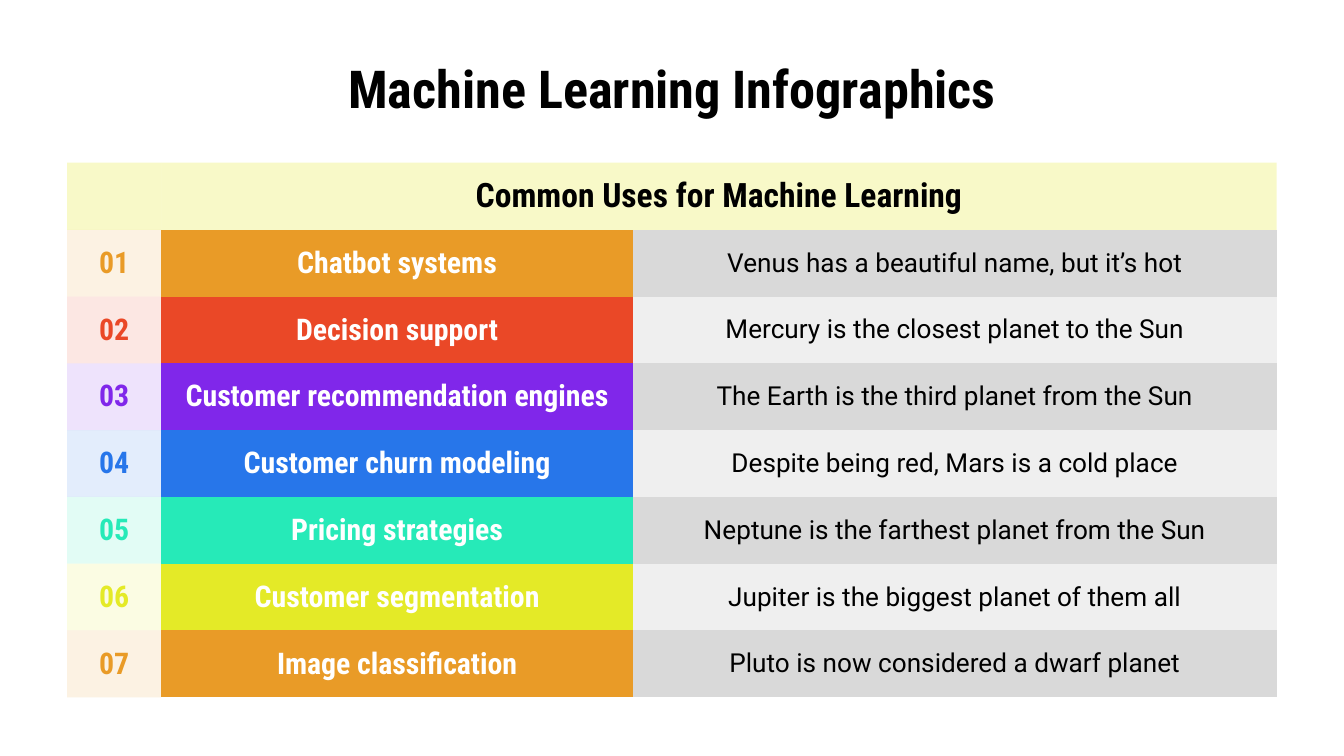
"""Build a slide with a colour-coded table of common machine learning uses."""
import pptx
import pptx.dml.color
import pptx.enum.text
import pptx.oxml
import pptx.oxml.ns
import pptx.util

Inches = pptx.util.Inches
RGBColor = pptx.dml.color.RGBColor

BLACK = RGBColor(0x00, 0x00, 0x00)
WHITE = RGBColor(0xFF, 0xFF, 0xFF)
ORANGE = RGBColor(0xE9, 0x9B, 0x27)
RED = RGBColor(0xEA, 0x48, 0x27)
PURPLE = RGBColor(0x80, 0x27, 0xEA)
BLUE = RGBColor(0x27, 0x76, 0xEA)
GREEN = RGBColor(0x26, 0xEA, 0xB8)
YELLOW = RGBColor(0xE4, 0xEA, 0x27)
DARK_GRAY = RGBColor(0xD9, 0xD9, 0xD9)
LIGHT_GRAY = RGBColor(0xEF, 0xEF, 0xEF)

HEADING_FONT = "Roboto Condensed"
BODY_FONT = "Roboto"
PLAIN_TABLE_STYLE = "{2D5ABB26-0587-4C30-8999-92F81FD0307C}"
COLUMN_WIDTHS = [0.7, 3.51, 4.79]
TABLE_HEIGHT = Inches(3.97)
HEADER_HEIGHT = Inches(0.49)
USES = [
    ("Chatbot systems", "Venus has a beautiful name, but it’s hot", ORANGE),
    ("Decision support", "Mercury is the closest planet to the Sun", RED),
    ("Customer recommendation engines", "The Earth is the third planet from the Sun", PURPLE),
    ("Customer churn modeling", "Despite being red, Mars is a cold place", BLUE),
    ("Pricing strategies", "Neptune is the farthest planet from the Sun", GREEN),
    ("Customer segmentation", "Jupiter is the biggest planet of them all", YELLOW),
    ("Image classification", "Pluto is now considered a dwarf planet", ORANGE),
]


def write_text(frame, text, size, color, font_name=HEADING_FONT):
    paragraph = frame.paragraphs[0]
    paragraph.text = text
    paragraph.alignment = pptx.enum.text.PP_ALIGN.CENTER
    paragraph.font.size = pptx.util.Pt(size)
    paragraph.font.name = font_name
    paragraph.font.bold = font_name == HEADING_FONT
    paragraph.font.color.rgb = color


def fill_cell(cell, color, opacity=100):
    cell.vertical_anchor = pptx.enum.text.MSO_ANCHOR.MIDDLE
    cell.margin_left = cell.margin_right = Inches(0.1)
    cell.margin_top = cell.margin_bottom = Inches(0.1)
    cell.fill.solid()
    cell.fill.fore_color.rgb = color
    if opacity < 100:
        color_element = cell._tc.tcPr.find(".//" + pptx.oxml.ns.qn("a:srgbClr"))
        alpha = pptx.oxml.parse_xml(f'<a:alpha {pptx.oxml.ns.nsdecls("a")} val="{opacity * 1000}"/>')
        color_element.append(alpha)


presentation = pptx.Presentation()
presentation.slide_width = Inches(10)
presentation.slide_height = Inches(10) * 9 // 16
slide = presentation.slides.add_slide(presentation.slide_layouts[6])

title = slide.shapes.add_textbox(Inches(0.5), Inches(0.45), Inches(9), Inches(0.41))
title.text_frame.word_wrap = True
title.text_frame.vertical_anchor = pptx.enum.text.MSO_ANCHOR.MIDDLE
title.text_frame.margin_top = title.text_frame.margin_bottom = Inches(0.1)
write_text(title.text_frame, "Machine Learning Infographics", 28, BLACK)

table = slide.shapes.add_table(
    len(USES) + 1, len(COLUMN_WIDTHS), Inches(0.5), Inches(1.21), Inches(9), TABLE_HEIGHT
).table
table.horz_banding = False
table.first_row = False
table._tbl.tblPr.find(pptx.oxml.ns.qn("a:tableStyleId")).text = PLAIN_TABLE_STYLE
for column, width in zip(table.columns, COLUMN_WIDTHS):
    column.width = Inches(width)
for row in table.rows:
    row.height = (TABLE_HEIGHT - HEADER_HEIGHT) // len(USES)
table.rows[0].height = HEADER_HEIGHT

table.cell(0, 1).merge(table.cell(0, 2))
for column_index in range(len(COLUMN_WIDTHS)):
    fill_cell(table.cell(0, column_index), YELLOW, 25)
write_text(table.cell(0, 1).text_frame, "Common Uses for Machine Learning", 18, BLACK)

for number, (use, description, color) in enumerate(USES, start=1):
    number_cell, use_cell, description_cell = table.rows[number].cells
    fill_cell(number_cell, color, 13)
    fill_cell(use_cell, color)
    fill_cell(description_cell, DARK_GRAY if number % 2 else LIGHT_GRAY)
    write_text(number_cell.text_frame, f"{number:02}", 16, color)
    write_text(use_cell.text_frame, use, 16, WHITE)
    write_text(description_cell.text_frame, description, 14, BLACK, BODY_FONT)

presentation.save("out.pptx")
